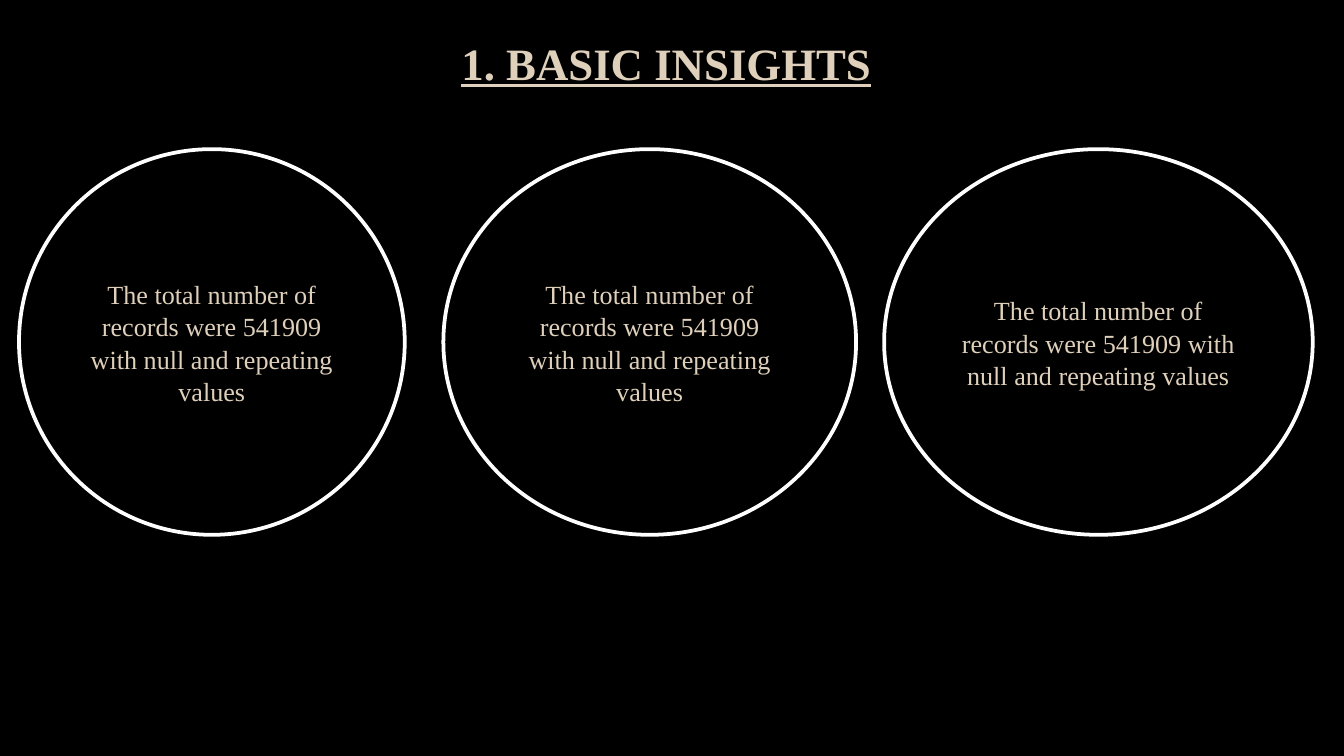
from dataclasses import dataclass

from pptx import Presentation
from pptx.dml.color import RGBColor
from pptx.enum.shapes import MSO_SHAPE as Shape
from pptx.enum.text import MSO_ANCHOR as Anchor, MSO_AUTO_SIZE as AutoSize, PP_ALIGN as Align
from pptx.util import Cm, Pt


@dataclass(frozen=True)
class Theme:
    """Colours, font and type sizes of the deck."""
    background: RGBColor = RGBColor(0x00, 0x00, 0x00)
    outline: RGBColor = RGBColor(0xFF, 0xFF, 0xFF)
    text: RGBColor = RGBColor(0xDF, 0xD0, 0xBB)
    font: str = "Times New Roman"
    title_size: Pt = Pt(24)
    body_size: Pt = Pt(14)
    outline_width: Pt = Pt(2)


THEME = Theme()
INSIGHT = "The total number of records were 541909 with null and repeating values"


def add_span(para, text, size):
    """Add one run in the theme's font and colour."""
    span = para.add_run()
    span.text = text
    span.font.name = THEME.font
    span.font.size = size
    span.font.color.rgb = THEME.text
    return span


def place(shape, box):
    """Move a shape to a box of left, top, width and height in centimetres."""
    shape.left, shape.top, shape.width, shape.height = (Cm(length) for length in box)


def add_title(slide, box, text):
    """Fill the title placeholder with a bold underlined heading."""
    title = slide.shapes.title
    place(title, box)
    frame = title.text_frame
    frame.auto_size = AutoSize.NONE
    frame.vertical_anchor = Anchor.TOP
    frame.margin_left = frame.margin_right = frame.margin_bottom = Cm(0.25)
    frame.margin_top = Cm(0.34)
    para = frame.paragraphs[0]
    para.alignment = Align.CENTER
    span = add_span(para, text, THEME.title_size)
    span.font.bold = True
    span.font.underline = True


def add_insight(slide, box, text):
    """Draw an outlined ellipse with centred text."""
    ellipse = slide.shapes.add_shape(Shape.OVAL, *(Cm(length) for length in box))
    ellipse.shadow.inherit = False
    ellipse.fill.solid()
    ellipse.fill.fore_color.rgb = THEME.background
    ellipse.line.color.rgb = THEME.outline
    ellipse.line.width = THEME.outline_width
    frame = ellipse.text_frame
    frame.word_wrap = True
    frame.vertical_anchor = Anchor.MIDDLE
    para = frame.paragraphs[0]
    para.alignment = Align.CENTER
    para.line_spacing = 1.04
    add_span(para, text, THEME.body_size)


def add_insight_row(slide, top, height, columns):
    """Place one insight for each left and width pair."""
    for left, width in columns:
        add_insight(slide, (left, top, width, height), INSIGHT)


def main():
    """Build and save the deck."""
    deck = Presentation()
    deck.slide_width, deck.slide_height = Cm(25.4), Cm(14.29)
    slide = deck.slides.add_slide(deck.slide_layouts[5])
    slide.background.fill.solid()
    slide.background.fill.fore_color.rgb = THEME.background
    add_title(slide, (0.36, 0.33, 24.46, 1.83), "1. BASIC INSIGHTS")
    add_insight_row(slide, 2.82, 7.29, [(0.36, 7.29), (8.38, 7.8), (16.71, 8.1)])
    deck.save("out.pptx")


if __name__ == "__main__":
    main()
